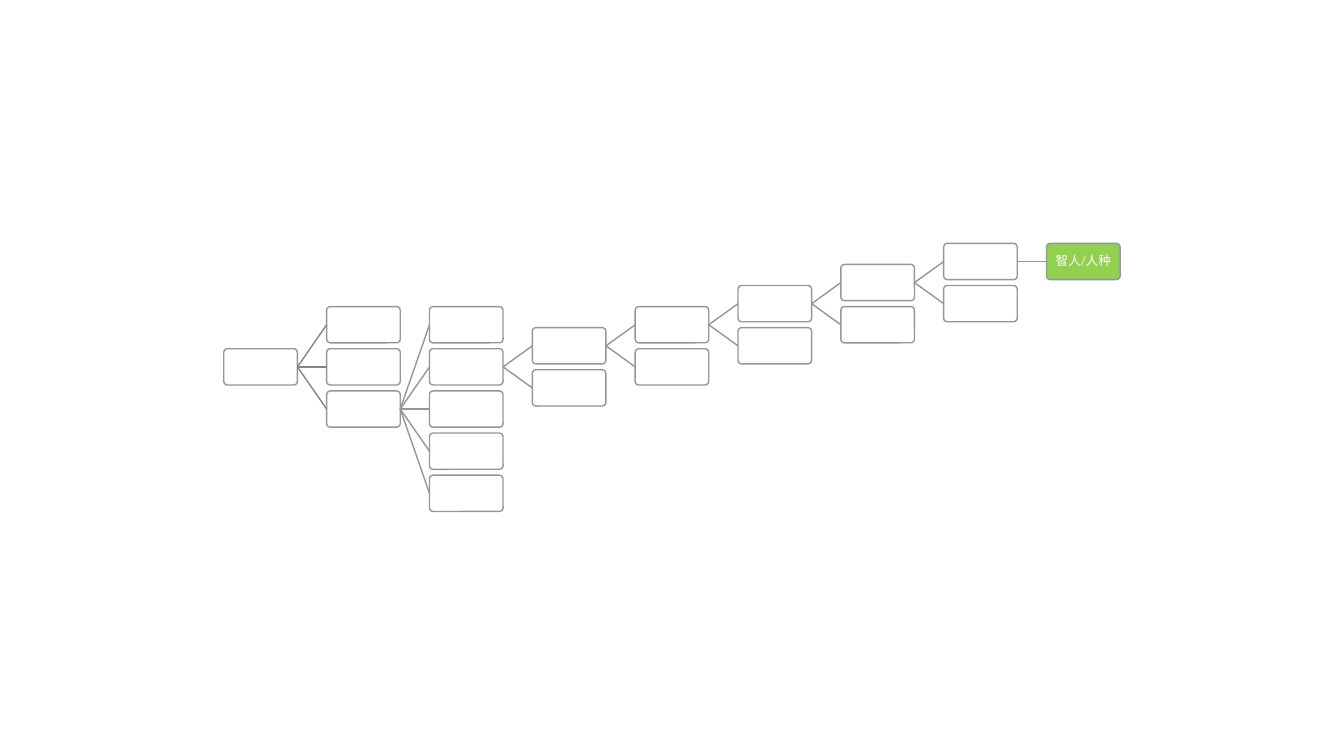
from lxml.etree import SubElement
from pptx import Presentation
from pptx.dml.color import RGBColor
from pptx.enum.shapes import MSO_CONNECTOR as Connector, MSO_SHAPE as Shape
from pptx.enum.text import MSO_ANCHOR as Anchor, PP_ALIGN as Align
from pptx.oxml.ns import qn
from pptx.util import Inches, Pt

COLORS = {
    "box": "FFFFFF",
    "human": "92D050",
    "text": "FFFFFF",
    "line": "969696",
    "root_line": "848484",
}
FONT = "Calibri"
LEFT, ROOT_TOP = 2.22, 3.46
BOX_WIDTH, BOX_HEIGHT = 0.73, 0.36
COLUMN_STEP = 1.02
HALF_ROW = 2.3 / 11
RIGHT_SITE, LEFT_SITE = 3, 1
BRANCHES = [(3, 2), (5, 1)] + [(2, 0)] * 5 + [(1, 0)]


def color(name):
    return RGBColor.from_string(COLORS[name])


def add_box(page, column, half_rows):
    box = page.shapes.add_shape(
        Shape.ROUNDED_RECTANGLE,
        Inches(LEFT + column * COLUMN_STEP),
        Inches(ROOT_TOP + half_rows * HALF_ROW),
        Inches(BOX_WIDTH),
        Inches(BOX_HEIGHT),
    )
    box.adjustments[0] = 0.1
    box.shadow.inherit = False
    box.fill.solid()
    box.fill.fore_color.rgb = color("box")
    box.line.color.rgb = color("line")
    box.line.width = Pt(1)
    return box


def add_link(page, parent, child, line_color):
    link = page.shapes.add_connector(Connector.STRAIGHT, 0, 0, 0, 0)
    link.begin_connect(parent, RIGHT_SITE)
    link.end_connect(child, LEFT_SITE)
    link.line.color.rgb = color(line_color)
    link.line.width = Pt(1)
    SubElement(link._element.spPr, qn("a:effectLst"))


def label_human(box, text):
    box.fill.fore_color.rgb = color("human")
    frame = box.text_frame
    frame.text = text
    frame.word_wrap = True
    frame.vertical_anchor = Anchor.MIDDLE
    frame.margin_left = frame.margin_right = Inches(0.02)
    frame.margin_top = frame.margin_bottom = Inches(0.02)
    para = frame.paragraphs[0]
    para.alignment = Align.CENTER
    para.line_spacing = 0.9
    span = para.runs[0]
    span.font.name = FONT
    span.font.size = Pt(9)
    span.font.color.rgb = color("text")


def add_tree(page):
    parent, parent_row = add_box(page, 0, 0), 0
    for column, (count, chosen) in enumerate(BRANCHES, start=1):
        rows = [parent_row + 2 * index - (count - 1) for index in range(count)]
        children = [add_box(page, column, row) for row in rows]
        line_color = "root_line" if column == 1 else "line"
        for child in children:
            add_link(page, parent, child, line_color)
        parent, parent_row = children[chosen], rows[chosen]
    return parent


def main():
    deck = Presentation()
    deck.slide_width, deck.slide_height = Inches(13.33), Inches(7.5)
    page = deck.slides.add_slide(deck.slide_layouts[6])
    human = add_tree(page)
    label_human(human, "智人/人种")
    deck.save("out.pptx")


main()
